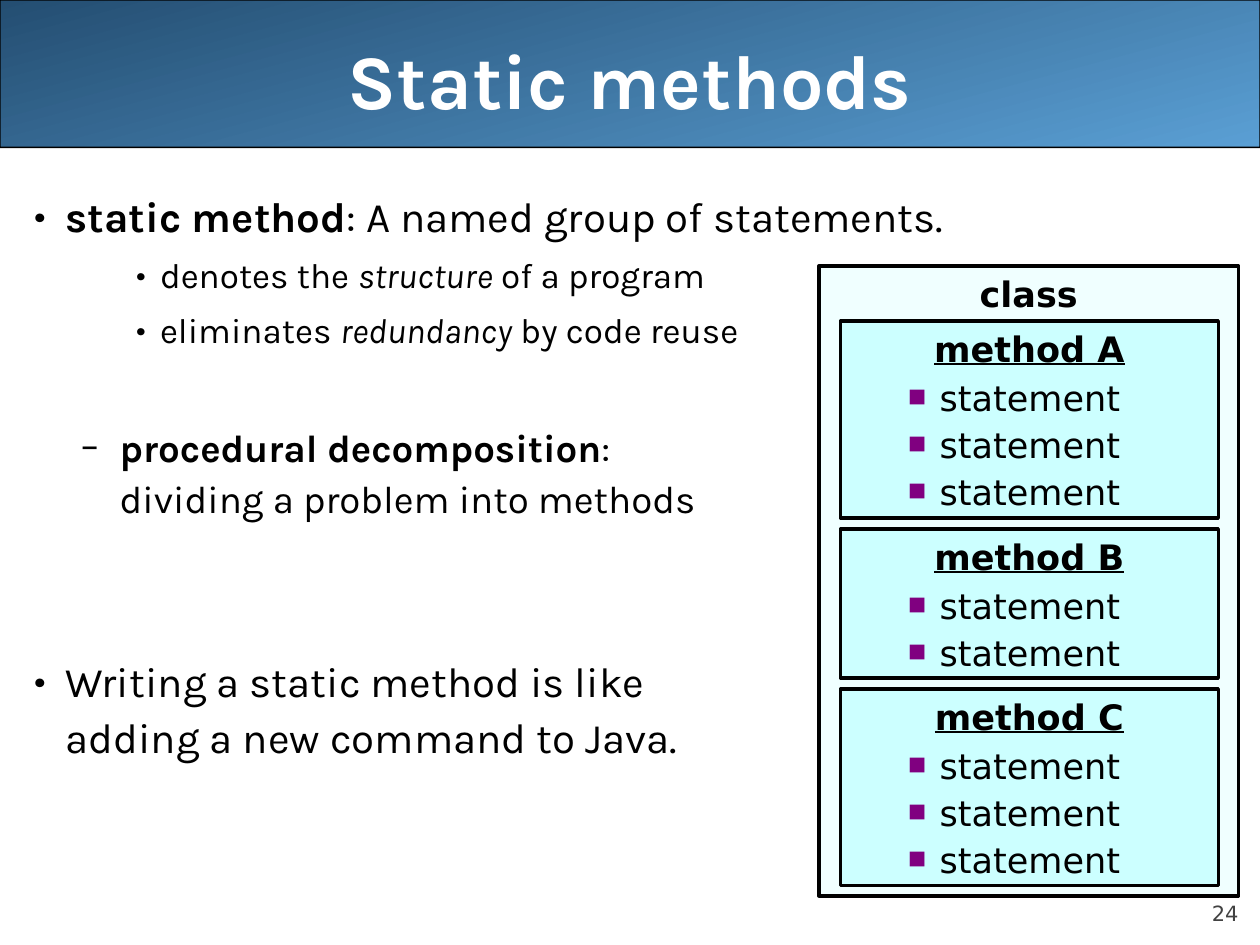
from dataclasses import dataclass

from lxml.etree import SubElement
from pptx import Presentation
from pptx.dml.color import RGBColor
from pptx.enum.shapes import MSO_SHAPE as Shape
from pptx.enum.text import MSO_ANCHOR as Anchor, MSO_AUTO_SIZE as AutoSize, PP_ALIGN as Align
from pptx.oxml.ns import qn
from pptx.util import Inches, Pt

COLORS = {
    "text": "000000", "title": "FFFFFF", "number": "424242", "bullet": "800080",
    "class": "F0FFFF", "method": "CCFFFF", "banner_light": "5A9FD4", "banner_dark": "244E72",
}
SLIDE_FONT, DIAGRAM_FONT = "Karla", "DejaVu Sans"


@dataclass
class ParaStyle:
    size: float
    level: int = 0
    margin: float = 0
    indent: float = 0
    before: float = 0
    spacing: float = 1.0
    align: Align = Align.LEFT
    bullet: str = ""
    bullet_color: str = "text"
    bullet_percent: int = 100
    font: str = SLIDE_FONT
    color: str = "text"


TITLE = ParaStyle(44, align=Align.CENTER, color="title")
NUMBER = ParaStyle(12, before=5, align=Align.RIGHT, font=DIAGRAM_FONT, color="number")
POINT = ParaStyle(24, 0, 0.25, -0.25, 6, 1.1, bullet="•")
DASH = ParaStyle(22, 1, 0.68, -0.31, 5.5, 1.1, bullet="–")
DETAIL = ParaStyle(20, 2, 1, -0.19, 5, 1.1, bullet="•")
HEADING = ParaStyle(20, 0, 0.31, -0.31, 12.5, align=Align.CENTER, font=DIAGRAM_FONT)
STATEMENT = ParaStyle(20, 1, 0.69, -0.25, 12.5, 0.6, bullet="■", bullet_color="bullet",
                      bullet_percent=55, font=DIAGRAM_FONT)


def rgb(name):
    return RGBColor.from_string(COLORS[name])


class SlideBuilder:
    def __init__(self, page):
        self.page = page

    def place(self, box, left, top, width, height):
        box.left, box.top = Inches(left), Inches(top)
        box.width, box.height = Inches(width), Inches(height)

    def format_para(self, para, style, extra_before):
        para.level = style.level
        para.alignment = style.align
        para.line_spacing = style.spacing
        para.space_before = Pt(style.before + extra_before)
        para.space_after = Pt(0)
        props = para._p.get_or_add_pPr()
        props.set("marL", str(Inches(style.margin)))
        props.set("indent", str(Inches(style.indent)))
        if not style.bullet:
            SubElement(props, qn("a:buNone"))
            return
        color = SubElement(props, qn("a:buClr"))
        SubElement(color, qn("a:srgbClr"), val=COLORS[style.bullet_color])
        SubElement(props, qn("a:buSzPct"), val=str(style.bullet_percent * 1000))
        SubElement(props, qn("a:buFont"), typeface=style.font)
        SubElement(props, qn("a:buChar"), char=style.bullet)

    def add_text(self, box, paragraphs):
        """Fill box with (style, spans, extra space before); a span is (text, marks from "biu")."""
        frame = box.text_frame
        frame.word_wrap = True
        for index, (style, spans, extra_before) in enumerate(paragraphs):
            para = frame.paragraphs[0] if index == 0 else frame.add_paragraph()
            self.format_para(para, style, extra_before)
            for text, marks in spans:
                for number, line in enumerate(text.split("\n")):
                    if number:
                        para.add_line_break()
                    span = para.add_run()
                    span.text = line
                    font = span.font
                    font.name, font.size = style.font, Pt(style.size)
                    font.color.rgb = rgb(style.color)
                    font.bold, font.italic = "b" in marks, "i" in marks
                    font.underline = "u" in marks

    def banner(self, height):
        box = self.page.shapes.add_shape(Shape.ROUNDED_RECTANGLE, 0, 0, Inches(10), Inches(height))
        box.adjustments[0] = 0.001
        box.shadow.inherit = False
        box.fill.gradient()
        box.fill.gradient_angle = 105
        for stop, name in zip(box.fill.gradient_stops, ("banner_light", "banner_dark")):
            stop.color.rgb = rgb(name)
        box.line.color.rgb = rgb("text")
        box.line.width = Pt(0.75)
        self.page.shapes.title.element.addprevious(box.element)

    def title(self, text, *bounds):
        box = self.page.shapes.title
        self.place(box, *bounds)
        box.text_frame.vertical_anchor = Anchor.MIDDLE
        box.text_frame.auto_size = AutoSize.NONE
        self.add_text(box, [(TITLE, [(text, "b")], 0)])

    def body(self, paragraphs, *bounds):
        box = self.page.placeholders[1]
        self.place(box, *bounds)
        box.text_frame.auto_size = AutoSize.NONE
        self.add_text(box, paragraphs)

    def page_number(self, text, *bounds):
        box = self.page.shapes.add_textbox(*map(Inches, bounds))
        frame = box.text_frame
        frame.margin_left = frame.margin_right = frame.margin_top = frame.margin_bottom = 0
        frame.vertical_anchor = Anchor.BOTTOM
        self.add_text(box, [(NUMBER, [(text, "")], 0)])

    def panel(self, group, fill, paragraphs, *bounds):
        box = group.shapes.add_shape(Shape.RECTANGLE, *map(Inches, bounds))
        box.shadow.inherit = False
        box.fill.solid()
        box.fill.fore_color.rgb = rgb(fill)
        box.line.color.rgb = rgb("text")
        box.line.width = Pt(2)
        box.text_frame.vertical_anchor = Anchor.TOP
        self.add_text(box, paragraphs)
        return box

    def class_diagram(self, methods):
        group = self.page.shapes.add_group_shape()
        self.panel(group, "class", [(HEADING, [("class", "b")], 0)], 6.5, 2.11, 3.33, 5)
        top, gap = 2.55, 0.09
        for name, count in methods:
            height = 0.42 + 0.38 * count
            lines = [(HEADING, [(name, "bu")], 0)]
            lines += [(STATEMENT, [("statement", "")], 0)] * count
            box = self.panel(group, "method", lines, 6.67, top, 3, height)
            box.text_frame.auto_size = AutoSize.SHAPE_TO_FIT_TEXT
            top += height + gap


def main():
    deck = Presentation()
    deck.slide_width, deck.slide_height = Inches(10), Inches(7.5)
    slide = SlideBuilder(deck.slides.add_slide(deck.slide_layouts[1]))
    slide.banner(1.17)
    slide.page_number("24", 9, 6.95, 0.83, 0.4)
    slide.title("Static methods", 0.5, 0, 9, 1.25)
    blank_line = 34
    slide.body([
        (POINT, [("static method", "b"), (": A named group of statements.", "")], 0),
        (DETAIL, [("denotes the ", ""), ("structure", "i"), (" of a program", "")], 0),
        (DETAIL, [("eliminates ", ""), ("redundancy", "i"), (" by code reuse", "")], 0),
        (DASH, [("procedural decomposition", "b"), (":\ndividing a problem into methods", "")],
         blank_line),
        (POINT, [("Writing a static method is like\nadding a new command to Java.", "")],
         2 * blank_line),
    ], 0.17, 1.42, 9.83, 5.67)
    slide.class_diagram([("method A", 3), ("method B", 2), ("method C", 3)])
    deck.save("out.pptx")


if __name__ == "__main__":
    main()
